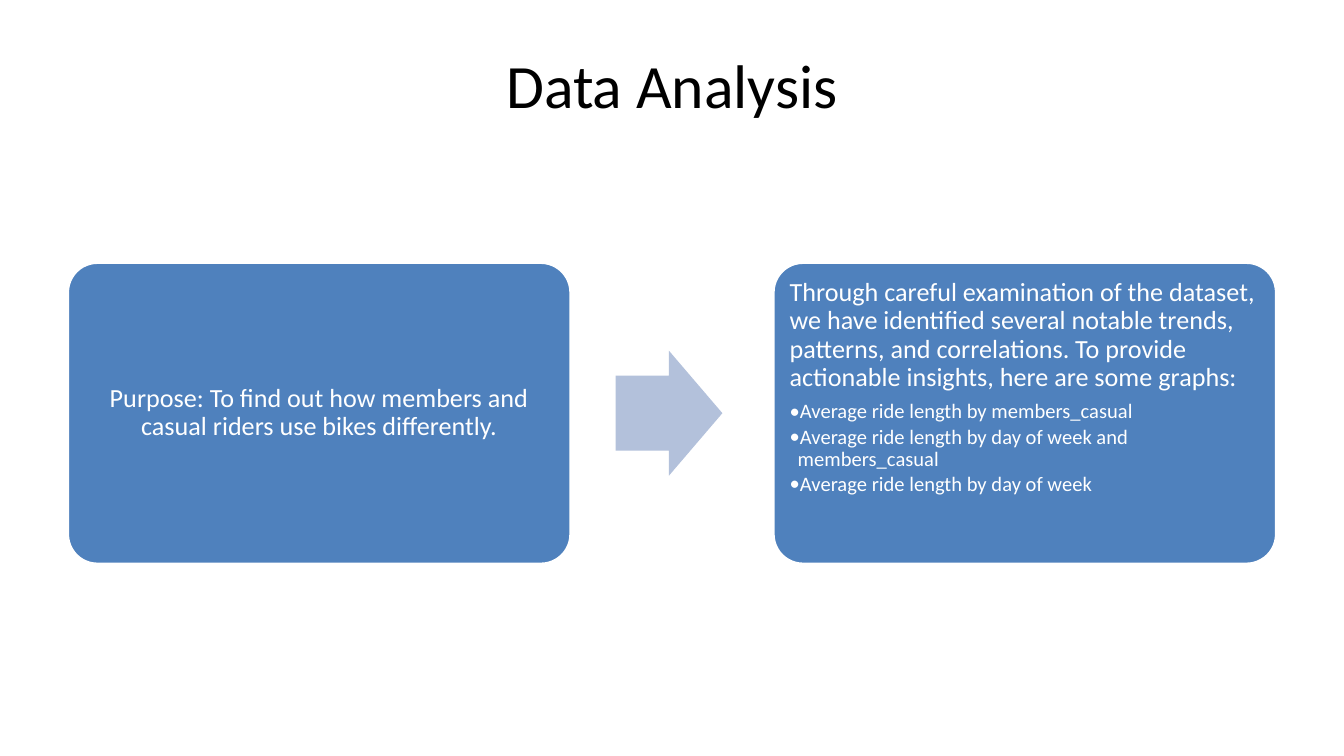
"""Build the Data Analysis slide: a purpose card leading to a findings card."""
from lxml import etree
from pptx import Presentation, util as u
from pptx.dml.color import RGBColor
from pptx.enum import shapes, text
from pptx.oxml.ns import qn

PX = 4572
THEME = {
    "font": "Calibri", "ink": "000000", "paper": "FFFFFF",
    "card": "4F81BD", "arrow": "B3C1DB",
    "title": 33, "body": 14, "item": 11,
}
MID, LEFT = text.PP_ALIGN.CENTER, text.PP_ALIGN.LEFT
KIND = shapes.MSO_SHAPE


def draw(kind, box, fill, adjust):
    form = page.shapes.add_shape(kind, *[n * PX for n in box])
    form.shadow.inherit = False
    form.fill.solid()
    form.fill.fore_color.rgb = RGBColor.from_string(THEME[fill])
    form.line.fill.background()
    for i, part in enumerate(adjust):
        form.adjustments[i] = part
    return form


def write(frame, lines, anchor, color):
    look = {"word_wrap": True, "vertical_anchor": anchor}
    look.update({f"margin_{side}": 12 * PX for side in ("left", "right", "top", "bottom")})
    for name, value in look.items():
        setattr(frame, name, value)
    for i, (words, size, align, space, after) in enumerate(lines):
        para = frame.add_paragraph() if i else frame.paragraphs[0]
        for name, value in {"alignment": align, "line_spacing": space,
                            "space_after": u.Pt(after)}.items():
            setattr(para, name, value)
        run = para.add_run()
        run.text = words
        for name, value in {"name": THEME["font"], "size": u.Pt(THEME[size])}.items():
            setattr(run.font, name, value)
        run.font.color.rgb = RGBColor.from_string(THEME[color])
        if size == "item":
            para.level = 1
            props = para._p.get_or_add_pPr()
            props.set("marL", str(12 * PX))
            props.set("indent", str(-12 * PX))
            etree.SubElement(props, qn("a:buFont")).set("typeface", THEME["font"])
            etree.SubElement(props, qn("a:buChar")).set("char", "•")


deck = Presentation()
deck.slide_width, deck.slide_height = 2000 * PX, 1125 * PX
page = deck.slides.add_slide(deck.slide_layouts[6])

title = page.shapes.add_textbox(*[n * PX for n in (100, 46, 1800, 158)])
write(title.text_frame, [("Data Analysis", "title", MID, 1.0, 0)],
      text.MSO_ANCHOR.MIDDLE, "ink")

purpose = [("Purpose: To find out how members and casual riders use bikes differently.",
            "body", MID, 0.9, 0)]
finds = [("Through careful examination of the dataset, we have identified several "
          "notable trends, patterns, and correlations. To provide actionable "
          "insights, here are some graphs:", "body", LEFT, 0.9, 4.9)]
for item in ("members_casual", "day of week and members_casual", "day of week"):
    finds.append((f"Average ride length by {item}", "item", LEFT, 0.9, 1.65))

cards = [(100, purpose, text.MSO_ANCHOR.MIDDLE), (1150, finds, text.MSO_ANCHOR.TOP)]
for left, lines, anchor in cards:
    card = draw(KIND.ROUNDED_RECTANGLE, (left, 390, 750, 450), "card", [0.1])
    card.line.color.rgb = RGBColor.from_string(THEME["paper"])
    card.line.width = u.Pt(2)
    write(card.text_frame, lines, anchor, "paper")

draw(KIND.RIGHT_ARROW, (916, 522, 159, 186), "arrow", [0.6, 0.5])

deck.save("out.pptx")
